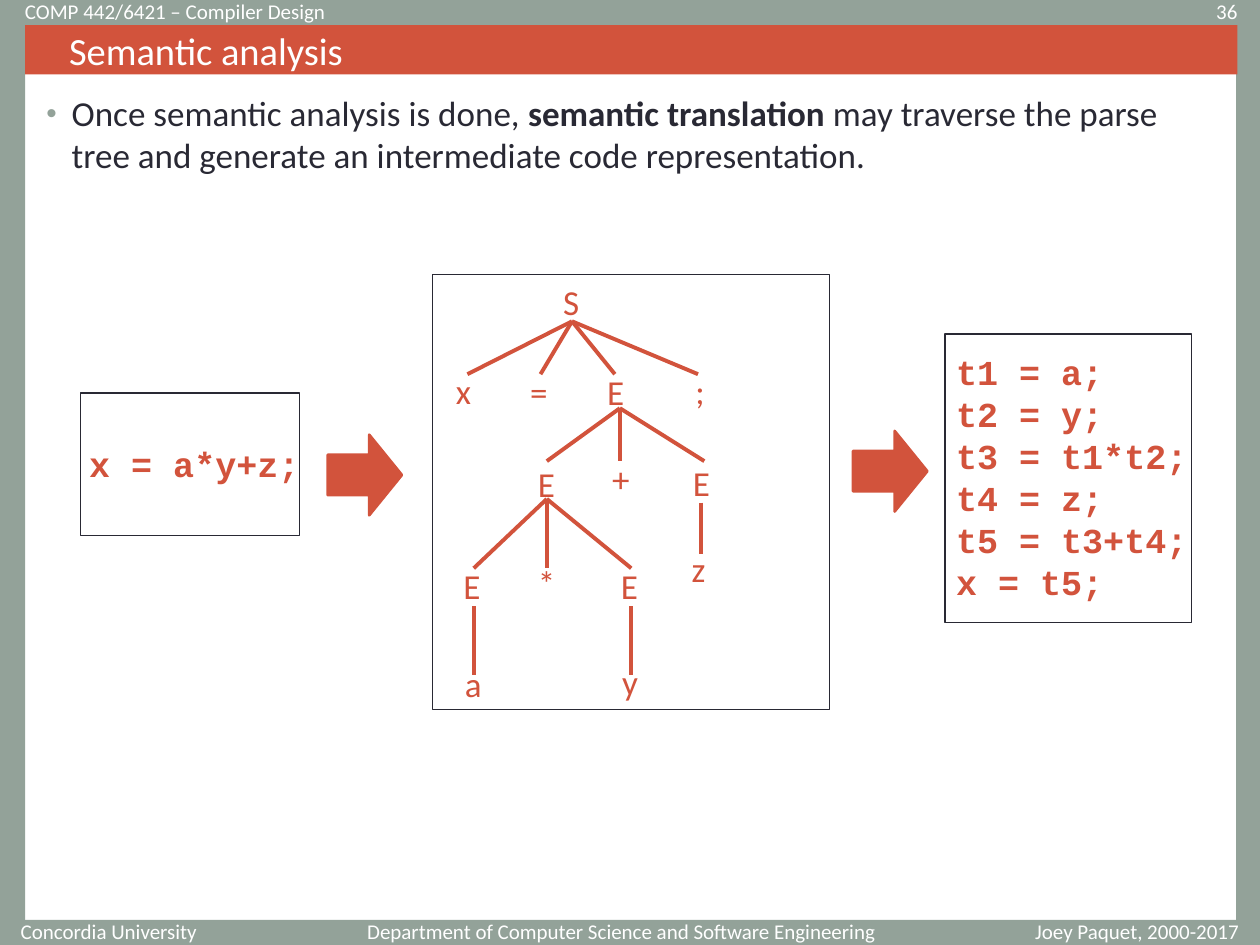
from dataclasses import dataclass

import pptx
import pptx.dml.color
import pptx.enum.shapes
import pptx.enum.text
import pptx.oxml.ns
import pptx.util
from lxml import etree
from pptx.util import Inches

SHAPE = pptx.enum.shapes.MSO_SHAPE
ALIGN = pptx.enum.text.PP_ALIGN
ANCHOR = pptx.enum.text.MSO_ANCHOR
qn = pptx.oxml.ns.qn


@dataclass(frozen=True)
class Theme:
    frame: str = "93A299"
    accent: str = "D2533C"
    ink: str = "292934"
    white: str = "FFFFFF"
    sans: str = "Calibri"
    mono: str = "Courier New"
    small: int = 12
    body: int = 20
    title: int = 22


def rgb(value):
    return pptx.dml.color.RGBColor.from_string(value)


class SlideBuilder:
    def __init__(self, slide, theme):
        self.s = slide
        self.theme = theme

    def shape(self, kind, box, fill=None, line=None, width=0.75):
        sp = self.s.shapes.add_shape(kind, *map(Inches, box))
        sp.shadow.inherit = False
        if fill:
            sp.fill.solid()
            sp.fill.fore_color.rgb = rgb(fill)
        else:
            sp.fill.background()
        if line:
            sp.line.color.rgb = rgb(line)
            sp.line.width = pptx.util.Pt(width)
        else:
            sp.line.fill.background()
        return sp

    def style(self, r, size, color, font=None, bold=False):
        r.font.name = font or self.theme.sans
        r.font.size = pptx.util.Pt(size)
        r.font.bold = bold
        r.font.color.rgb = rgb(color)

    def title(self, text, box):
        sp = self.shape(SHAPE.RECTANGLE, box, self.theme.accent)
        tf = sp.text_frame
        tf.vertical_anchor = ANCHOR.MIDDLE
        p = tf.paragraphs[0]
        p.text = text
        p.alignment = ALIGN.LEFT
        p._p.get_or_add_pPr().set("marL", str(Inches(0.25)))
        self.style(p.runs[0], self.theme.title, self.theme.white)

    def caption(self, text, box, align):
        tf = self.s.shapes.add_textbox(*map(Inches, box)).text_frame
        tf.word_wrap = True
        tf.vertical_anchor = ANCHOR.MIDDLE
        p = tf.paragraphs[0]
        p.text = text
        p.alignment = align
        self.style(p.runs[0], self.theme.small, self.theme.white)

    def bullet(self, parts, box):
        tf = self.s.shapes.add_textbox(*map(Inches, box)).text_frame
        tf.word_wrap = True
        p = tf.paragraphs[0]
        pPr = p._p.get_or_add_pPr()
        pPr.set("marL", str(Inches(0.2)))
        pPr.set("indent", str(Inches(-0.2)))
        color = etree.SubElement(pPr, qn("a:buClr"))
        etree.SubElement(color, qn("a:srgbClr"), val=self.theme.frame)
        etree.SubElement(pPr, qn("a:buSzPct"), val="85000")
        etree.SubElement(pPr, qn("a:buFont"), typeface="Arial")
        etree.SubElement(pPr, qn("a:buChar"), char="•")
        for text, bold in parts:
            r = p.add_run()
            r.text = text
            self.style(r, self.theme.body, self.theme.ink, bold=bold)

    def label(self, text, box, font=None, bold=False):
        tf = self.s.shapes.add_textbox(*map(Inches, box)).text_frame
        tf.word_wrap = False
        tf.auto_size = pptx.enum.text.MSO_AUTO_SIZE.SHAPE_TO_FIT_TEXT
        tf.text = text
        for p in tf.paragraphs:
            self.style(p.runs[0], self.theme.body, self.theme.accent, font, bold)

    def code(self, lines, box):
        self.label("\n".join(lines), box, self.theme.mono, True)

    def frame(self, box, width=0.75):
        self.shape(SHAPE.RECTANGLE, box, line=self.theme.ink, width=width)

    def arrow(self, left, top):
        sp = self.shape(SHAPE.RIGHT_ARROW, (left, top, 0.59, 0.64),
                        self.theme.accent, self.theme.accent, 1.5)
        sp.adjustments[0] = 0.5
        sp.adjustments[1] = 0.44

    def branches(self, start, ends):
        for end in ends:
            c = self.s.shapes.add_connector(
                pptx.enum.shapes.MSO_CONNECTOR.STRAIGHT,
                *map(Inches, start + end))
            c.line.color.rgb = rgb(self.theme.accent)
            c.line.width = pptx.util.Pt(2.25)
            etree.SubElement(c._element.spPr, qn("a:effectLst"))


def main():
    prs = pptx.Presentation()
    prs.slide_width, prs.slide_height = Inches(10), Inches(7.5)
    theme = Theme()
    b = SlideBuilder(prs.slides.add_slide(prs.slide_layouts[6]), theme)

    for border in [(0, 0, 10, 0.2), (0, 7.3, 10, 0.2),
                   (0, 0, 0.2, 7.44), (9.81, 0.18, 0.19, 7.32)]:
        b.shape(SHAPE.RECTANGLE, border, theme.frame)

    captions = [
        ("Concordia University ", 0.03, 7.33, 1.67, ALIGN.RIGHT),
        ("Department of Computer Science and Software Engineering",
         2.8, 7.33, 4.25, ALIGN.RIGHT),
        ("Joey Paquet, 2000-2017", 7.99, 7.33, 2.07, ALIGN.CENTER),
        ("36", 8.75, 0.03, 1.17, ALIGN.RIGHT),
        ("COMP 442/6421 – Compiler Design", 0.1, 0.03, 5.6, ALIGN.LEFT),
    ]
    for text, left, top, width, align in captions:
        b.caption(text, (left, top, width, 0.12), align)

    b.title("Semantic analysis", (0.2, 0.2, 9.62, 0.39))
    b.bullet([("Once semantic analysis is done, ", False),
              ("semantic translation ", True),
              ("may traverse the parse tree and generate an intermediate "
               "code representation.", False)], (0.27, 0.68, 9.45, 6.54))

    b.frame((0.64, 3.12, 1.74, 1.13))
    b.code(["x = a*y+z;"], (0.61, 3.46, 1.87, 0.44))
    b.arrow(2.6, 3.45)

    b.frame((3.43, 2.18, 3.15, 3.45), 0.5)
    fans = [
        ((4.54, 2.55), [(x, 2.97) for x in (3.71, 4.29, 4.88, 5.54)]),
        ((4.92, 3.24), [(x, 3.66) for x in (4.34, 4.92, 5.59)]),
        ((4.34, 3.96), [(x, 4.51) for x in (3.76, 4.34, 5.01)]),
        ((5.56, 3.99), [(5.56, 4.4)]),
        ((3.76, 4.81), [(3.76, 5.36)]),
        ((5.01, 4.81), [(5.01, 5.36)]),
    ]
    for start, ends in fans:
        b.branches(start, ends)
    nodes = [
        ("S", 4.37, 2.18, 0.35),
        ("x", 3.52, 2.88, 0.34), ("=", 4.11, 2.89, 0.36),
        ("E", 4.72, 2.89, 0.35), (";", 5.42, 2.88, 0.27),
        ("E", 4.17, 3.62, 0.35), ("+", 4.76, 3.58, 0.36),
        ("E", 5.4, 3.61, 0.35),
        ("E", 3.58, 4.43, 0.35), ("*", 4.17, 4.41, 0.35),
        ("E", 4.83, 4.43, 0.35), ("z", 5.39, 4.3, 0.33),
        ("a", 3.59, 5.21, 0.35), ("y", 4.84, 5.19, 0.34),
    ]
    for text, left, top, width in nodes:
        b.label(text, (left, top, width, 0.44))

    b.arrow(6.77, 3.42)
    b.frame((7.5, 2.65, 1.96, 2.29))
    b.code(["t1 = a;", "t2 = y;", "t3 = t1*t2;", "t4 = z;", "t5 = t3+t4;",
            "x = t5;"], (7.49, 2.73, 2.04, 2.1))

    prs.save("out.pptx")


if __name__ == "__main__":
    main()
